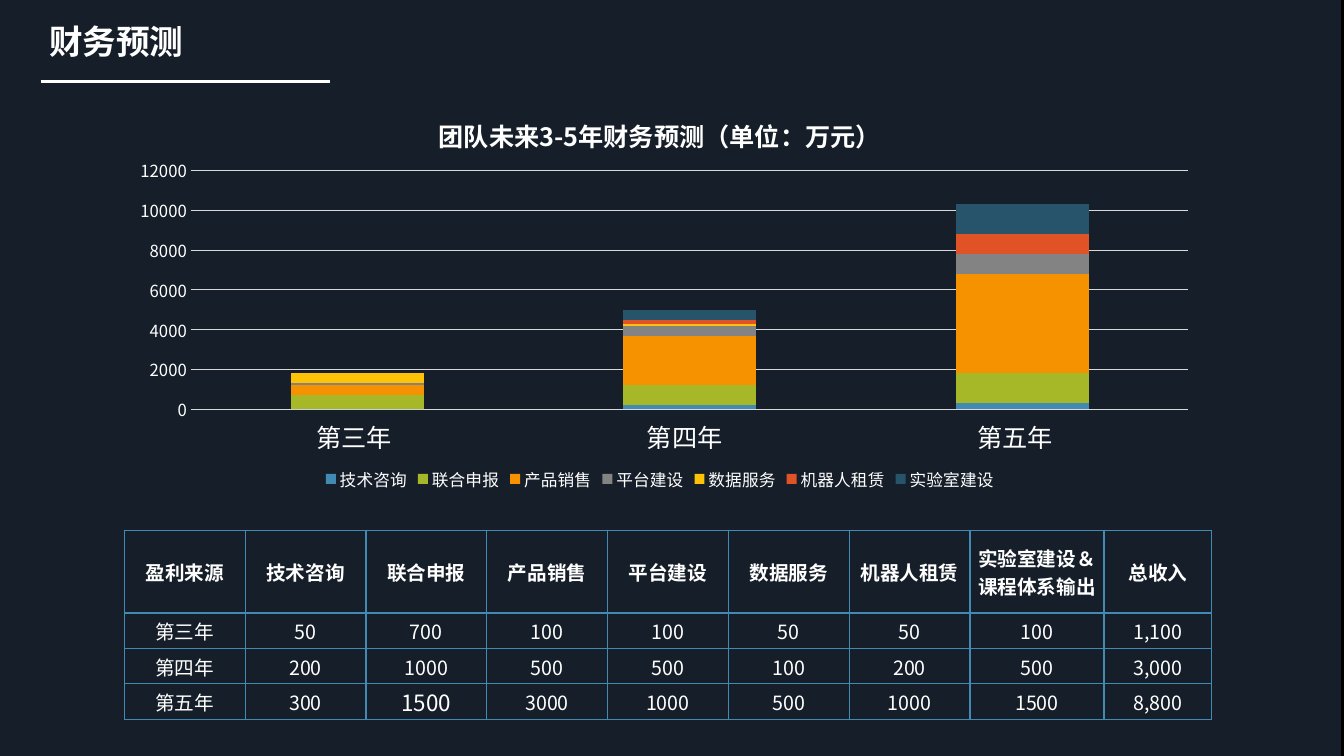
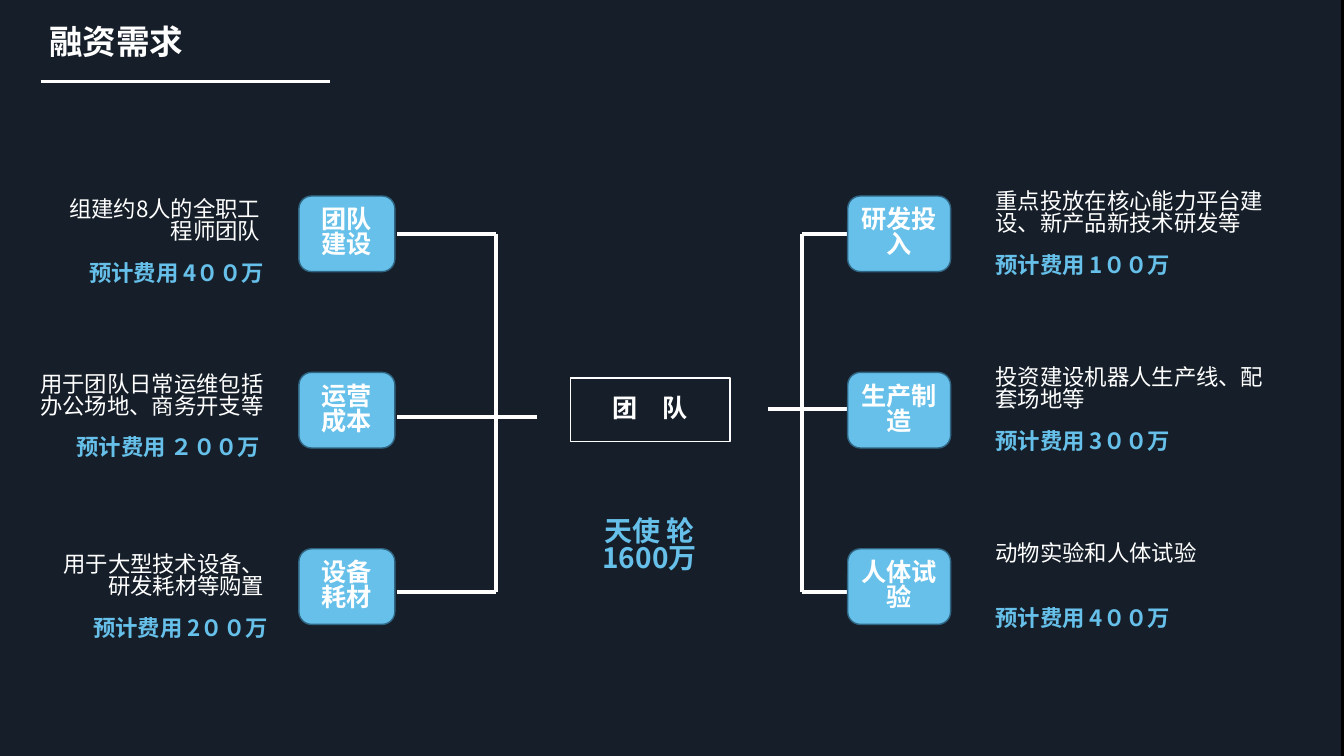
import lxml.etree
import pptx
import pptx.chart.data
import pptx.dml.color
import pptx.enum.chart
import pptx.enum.shapes
import pptx.enum.text
import pptx.oxml.ns
import pptx.util

Pt = pptx.util.Pt
qn = pptx.oxml.ns.qn
ALIGN = pptx.enum.text.PP_ALIGN
ANCHOR = pptx.enum.text.MSO_ANCHOR
SHAPE = pptx.enum.shapes.MSO_SHAPE

# Shared style
FONT = "Noto Sans CJK SC"
WHITE, NAVY, BLACK = "FFFFFF", "19232E", "000000"
SKY, NODE_EDGE, TABLE_EDGE, GRID = "66C0EA", "306684", "418AB3", "D9D9D9"
TIGHT = 0.83

# Forecast content
CHART_TITLE = "团队未来3-5年财务预测（单位：万元）"
YEARS = ["第三年", "第四年", "第五年"]
SERIES = [
    ("技术咨询", (0, 200, 300), "418AB3"),
    ("联合申报", (700, 1000, 1500), "A6B727"),
    ("产品销售", (500, 2500, 5000), "F69200"),
    ("平台建设", (100, 500, 1000), "838383"),
    ("数据服务", (500, 100, 0), "FEC306"),
    ("机器人租赁", (0, 200, 1000), "DF5327"),
    ("实验室建设", (0, 500, 1500), "27536B"),
]
INCOME = [
    ["盈利来源", "技术咨询", "联合申报", "产品销售", "平台建设", "数据服务",
     "机器人租赁", "实验室建设＆课程体系输出", "总收入"],
    ["第三年", "50", "700", "100", "100", "50", "50", "100", "1,100"],
    ["第四年", "200", "1000", "500", "500", "100", "200", "500", "3,000"],
    ["第五年", "300", "1500", "3000", "1000", "500", "1000", "1500", "8,800"],
]
COLUMN_WIDTHS = [86.3] * 7 + [95.8, 77]
ROW_HEIGHTS = [59.2] + [25.3] * 3
LARGE_CELL = (3, 2)

# Funding content: node, detail, fee, then (left, top, width) of detail and fee
LEFT_NEEDS = [
    ("团队建设", "组建约8人的全职工程师团队", "预计费用 4００万",
     (42, 139, 151), (27, 185, 168.5)),
    ("运营成本", "用于团队日常运维包括办公场地、商务开支等", "预计费用 ２００万",
     (9.5, 264, 186), (17, 309, 176)),
    ("设备耗材", "用于大型技术设备、研发耗材等购置", "预计费用 2００万",
     (24, 392.5, 172), (26.5, 438.5, 172)),
]
RIGHT_NEEDS = [
    (node, detail, fee, (704, 133 + 126 * i, 214.5), (704, 179 + 126 * i, 199.5))
    for i, (node, detail, fee) in enumerate([
        ("研发投入", "重点投放在核心能力平台建设、新产品新技术研发等", "预计费用 1００万"),
        ("生产制造", "投资建设机器人生产线、配套场地等", "预计费用 3００万"),
        ("人体试验", "动物实验和人体试验", "预计费用 4００万"),
    ])
]
# Each side: needs, alignment, node left and width, spine x, branch end x,
# middle line start x, middle line y
SIDES = [
    (LEFT_NEEDS, ALIGN.RIGHT, 213.5, 68.5, 354.3, 283.7, 383.8, 298),
    (RIGHT_NEEDS, ALIGN.LEFT, 605.5, 73.5, 573, 630, 548.6, 292),
]
SPINE_TOP, SPINE_BOTTOM = 167, 422.6


def color(value):
    return pptx.dml.color.RGBColor.from_string(value)


def style_font(font, size, tint=WHITE, bold=False, name=FONT):
    font.size, font.bold, font.name = Pt(size), bold, name
    font.color.rgb = color(tint)
    if name == FONT:
        east = lxml.etree.Element(qn("a:ea"), typeface=name)
        font._rPr.find(qn("a:latin")).addnext(east)


def write(frame, text, size=16, tint=WHITE, bold=False, name=FONT,
          align=ALIGN.LEFT, anchor=ANCHOR.TOP, spacing=TIGHT):
    frame.word_wrap = True
    frame.vertical_anchor = anchor
    for i, line in enumerate(text.split("\n")):
        para = frame.add_paragraph() if i else frame.paragraphs[0]
        para.alignment = align
        para.line_spacing = spacing
        span = para.add_run()
        span.text = line
        style_font(span.font, size, tint, bold, name)


def add_text(page, text, left, top, width, height, **style):
    box = page.shapes.add_textbox(Pt(left), Pt(top), Pt(width), Pt(height))
    write(box.text_frame, text, **style)


def add_box(page, kind, left, top, width, height, fill=None, edge=None):
    box = page.shapes.add_shape(kind, Pt(left), Pt(top), Pt(width), Pt(height))
    box.shadow.inherit = False
    if fill:
        box.fill.solid()
        box.fill.fore_color.rgb = color(fill)
    else:
        box.fill.background()
    if edge:
        box.line.color.rgb = color(edge)
        box.line.width = Pt(1)
    else:
        box.line.fill.background()
    return box


def add_line(page, x1, y1, x2, y2, width=3):
    line = page.shapes.add_connector(
        pptx.enum.shapes.MSO_CONNECTOR.STRAIGHT, Pt(x1), Pt(y1), Pt(x2), Pt(y2))
    line.line.color.rgb = color(WHITE)
    line.line.width = Pt(width)
    lxml.etree.SubElement(line._element.spPr, qn("a:effectLst"))


def add_page(deck, title):
    page = deck.slides.add_slide(deck.slide_layouts[6])
    page.background.fill.solid()
    page.background.fill.fore_color.rgb = color(BLACK)
    veil = add_box(page, SHAPE.RECTANGLE, 0, 0, 957.8, 540, NAVY)
    tint = veil._element.spPr.find(".//" + qn("a:srgbClr"))
    lxml.etree.SubElement(tint, qn("a:alpha"), val="90000")
    add_text(page, title, 28, 16.5, 134, 36, size=24, bold=True, align=ALIGN.JUSTIFY)
    add_line(page, 29, 58.3, 236, 58.3, 1.75)
    return page


def add_forecast_chart(page):
    data = pptx.chart.data.CategoryChartData()
    data.categories = ["1", "2", "3"]
    for name, values, _ in SERIES:
        data.add_series(name, values)
    chart = page.shapes.add_chart(
        pptx.enum.chart.XL_CHART_TYPE.COLUMN_STACKED,
        Pt(82.8), Pt(69), Pt(777), Pt(285), data).chart
    style_font(chart.font, 10)
    write(chart.chart_title.text_frame, CHART_TITLE, size=18, bold=True,
          align=ALIGN.CENTER, spacing=1)
    chart.chart_title.include_in_layout = False
    chart.has_legend = True
    chart.legend.position = pptx.enum.chart.XL_LEGEND_POSITION.BOTTOM
    chart.legend.include_in_layout = False
    style_font(chart.legend.font, 11.9)

    # Axes
    chart.category_axis.visible = False
    axis = chart.value_axis
    axis.minimum_scale, axis.maximum_scale, axis.major_unit = 0, 12000, 2000
    axis.major_tick_mark = pptx.enum.chart.XL_TICK_MARK.NONE
    axis.format.line.fill.background()
    axis.major_gridlines.format.line.color.rgb = color(GRID)
    axis.major_gridlines.format.line.width = Pt(0.75)
    style_font(axis.tick_labels.font, 11.9)

    # Bars
    plot = chart.plots[0]
    plot.vary_by_categories = False
    plot.gap_width, plot.overlap = 150, 100
    for series, (_, _, tint) in zip(plot.series, SERIES):
        series.format.fill.solid()
        series.format.fill.fore_color.rgb = color(tint)

    # Plot area placement
    area = chart._chartSpace.find(".//" + qn("c:plotArea"))
    for old in area.findall(qn("c:layout")):
        area.remove(old)
    layout = lxml.etree.Element(qn("c:layout"))
    area.insert(0, layout)
    manual = lxml.etree.SubElement(layout, qn("c:manualLayout"))
    for tag, value in [("layoutTarget", "inner"), ("xMode", "edge"), ("yMode", "edge"),
                       ("x", "0.069"), ("y", "0.185"), ("w", "0.917"), ("h", "0.599")]:
        lxml.etree.SubElement(manual, qn("c:" + tag), val=value)


def outline_cell(cell):
    properties = cell._tc.get_or_add_tcPr()
    for i, side in enumerate(("lnL", "lnR", "lnT", "lnB")):
        edge = lxml.etree.Element(qn("a:" + side), w=str(Pt(1)))
        fill = lxml.etree.SubElement(edge, qn("a:solidFill"))
        lxml.etree.SubElement(fill, qn("a:srgbClr"), val=TABLE_EDGE)
        properties.insert(i, edge)


def add_income_table(page):
    table = page.shapes.add_table(
        len(ROW_HEIGHTS), len(COLUMN_WIDTHS), Pt(88.8), Pt(378.7),
        Pt(sum(COLUMN_WIDTHS)), Pt(sum(ROW_HEIGHTS))).table
    for column, width in zip(table.columns, COLUMN_WIDTHS):
        column.width = Pt(width)
    for r, (values, height) in enumerate(zip(INCOME, ROW_HEIGHTS)):
        table.rows[r].height = Pt(height)
        for c, value in enumerate(values):
            cell = table.cell(r, c)
            cell.margin_left = cell.margin_right = cell.margin_top = Pt(0.7)
            cell.margin_bottom = 0
            cell.fill.background()
            outline_cell(cell)
            write(cell.text_frame, value, size=16 if (r, c) == LARGE_CELL else 14,
                  bold=r == 0, align=ALIGN.CENTER, spacing=1)
            cell.vertical_anchor = ANCHOR.MIDDLE


def build_forecast(deck):
    page = add_page(deck, "财务预测")
    add_forecast_chart(page)
    add_income_table(page)
    for i, year in enumerate(YEARS):
        add_text(page, year, 219 + 236 * i, 298, 85, 29, size=18, name="Calibri", spacing=1)


def build_funding(deck):
    page = add_page(deck, "融资需求")
    for needs, align, node_left, node_width, spine, end, start, middle in SIDES:
        # Bracket
        add_line(page, start, middle, end, middle)
        add_line(page, spine, SPINE_TOP, spine, SPINE_BOTTOM)
        for y in (SPINE_TOP, SPINE_BOTTOM):
            add_line(page, spine, y, end, y)
        # Nodes with detail and fee
        for i, (node, detail, fee, detail_spot, fee_spot) in enumerate(needs):
            box = add_box(page, SHAPE.ROUNDED_RECTANGLE, node_left, 140 + 126 * i,
                          node_width, 54, SKY, NODE_EDGE)
            write(box.text_frame, node, size=18, bold=True,
                  align=ALIGN.CENTER, anchor=ANCHOR.MIDDLE)
            add_text(page, detail, *detail_spot, 46, align=align)
            add_text(page, fee, *fee_spot, 27, tint=SKY, bold=True, align=align)
    # Centre
    box = add_box(page, SHAPE.RECTANGLE, 407.5, 270, 114, 45.4, edge=WHITE)
    write(box.text_frame, "团　队", size=18, bold=True,
          align=ALIGN.CENTER, anchor=ANCHOR.MIDDLE)
    add_text(page, "天使 轮\n1600万", 396, 367, 136, 80, size=20, tint=SKY, bold=True,
             align=ALIGN.CENTER)


def main():
    deck = pptx.Presentation()
    deck.slide_width, deck.slide_height = Pt(960), Pt(540)
    build_forecast(deck)
    build_funding(deck)
    deck.save("out.pptx")


if __name__ == "__main__":
    main()
